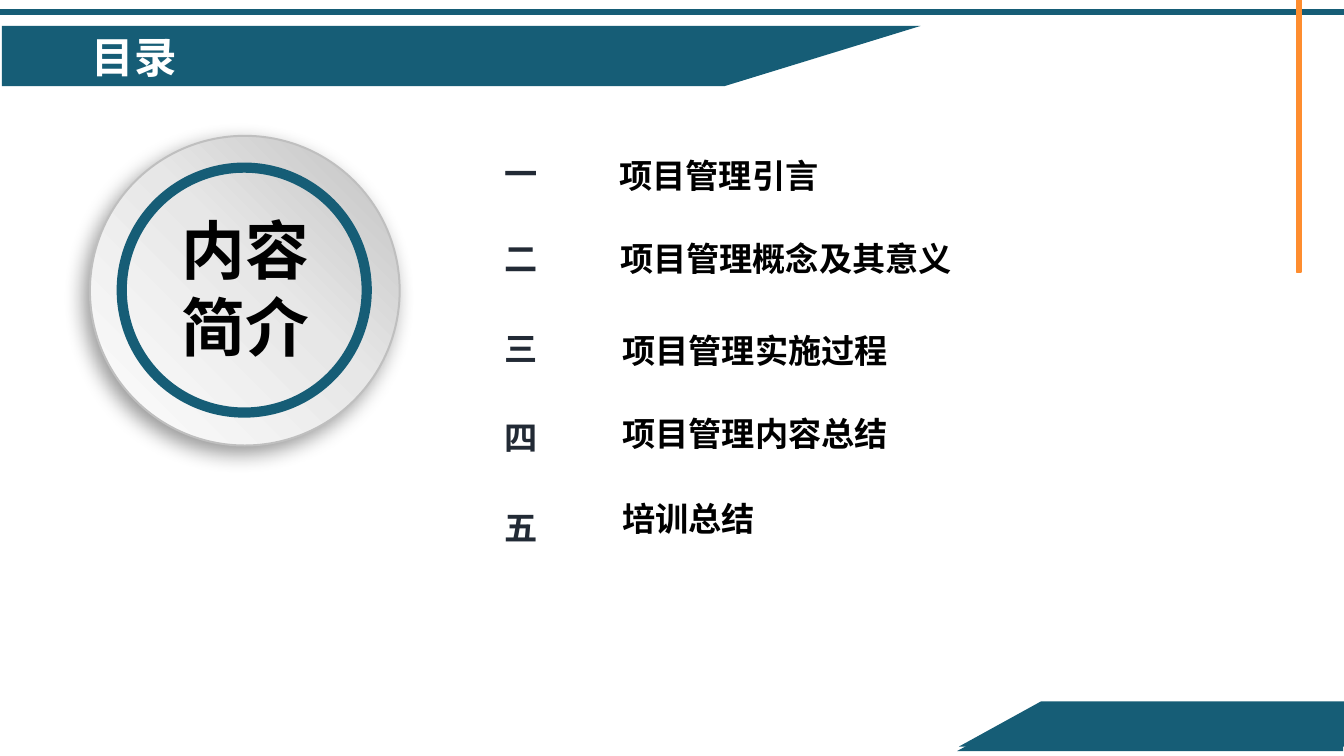
from dataclasses import dataclass

from lxml import etree
from pptx import Presentation
from pptx.dml.color import RGBColor
from pptx.enum.shapes import MSO_SHAPE
from pptx.enum.text import MSO_ANCHOR, MSO_AUTO_SIZE, PP_ALIGN
from pptx.oxml import parse_xml
from pptx.oxml.ns import nsdecls, qn
from pptx.shapes.autoshape import Shape
from pptx.slide import Slide
from pptx.util import Cm, Pt

RECTANGLE, OVAL, DONUT = MSO_SHAPE.RECTANGLE, MSO_SHAPE.OVAL, MSO_SHAPE.DONUT
TOP, MIDDLE, BOTTOM = MSO_ANCHOR.TOP, MSO_ANCHOR.MIDDLE, MSO_ANCHOR.BOTTOM
LEFT, CENTER = PP_ALIGN.LEFT, PP_ALIGN.CENTER
GROW = MSO_AUTO_SIZE.SHAPE_TO_FIT_TEXT

COLORS = {
    "teal": "165D76",
    "orange": "FE8D2F",
    "number": "222A35",
    "black": "000000",
    "white": "FFFFFF",
    "silver": "E7E7E7",
    "gray": "BFBFBF",
}
CHINESE_FONT = "Noto Sans CJK SC"
WIDTH, HEIGHT = 35.71, 20.09


@dataclass(frozen=True)
class Bar:
    left: float
    top: float
    width: float
    height: float
    color: str


@dataclass(frozen=True)
class TextStyle:
    font: str
    size: float
    color: str
    anchor: MSO_ANCHOR = TOP
    align: PP_ALIGN = LEFT
    inset: bool = True


@dataclass(frozen=True)
class Entry:
    number: str
    number_top: float
    topic: str
    left: float
    top: float
    width: float


BARS = [
    Bar(0, 0.25, WIDTH, 0.13, "teal"),
    Bar(34.44, 0, 0.13, 2.16, "orange"),
    Bar(34.44, 1.64, 0.13, 5.59, "orange"),
]
BANDS = [
    [(0.05, 0.69), (24.46, 0.69), (19.25, 2.29), (0.05, 2.29)],
    [(35.69, 19.96), (25.43, 19.96), (27.61, 18.77), (35.69, 18.77)],
    [(WIDTH, 19.84), (25.48, 19.84), (27.66, 18.64), (WIDTH, 18.64)],
]
ENTRIES = [
    Entry("一", 4.04, "项目管理引言", 16.46, 4.11, 13.56),
    Entry("二", 6.3, "项目管理概念及其意义", 16.48, 6.32, 13.56),
    Entry("三", 8.69, "项目管理实施过程", 16.54, 8.76, 9.32),
    Entry("四", 11.05, "项目管理内容总结", 16.54, 10.97, 9.32),
    Entry("五", 13.44, "培训总结", 16.54, 13.23, 9.32),
]
TITLE_STYLE = TextStyle("Calibri", 32, "white")
BADGE_STYLE = TextStyle("Calibri", 48, "black")
NUMBER_STYLE = TextStyle("Arial", 25, "number", BOTTOM, CENTER, False)
TOPIC_STYLE = TextStyle(CHINESE_FONT, 25, "black", MIDDLE, LEFT, False)


def rgb(color: str) -> RGBColor:
    return RGBColor.from_string(COLORS[color])


def paint(shape: Shape, color: str) -> None:
    shape.shadow.inherit = False
    shape.fill.solid()
    shape.fill.fore_color.rgb = rgb(color)
    shape.line.fill.background()


def add_bar(slide: Slide, bar: Bar) -> None:
    shape = slide.shapes.add_shape(
        RECTANGLE, Cm(bar.left), Cm(bar.top), Cm(bar.width), Cm(bar.height)
    )
    paint(shape, bar.color)
    shape.line.color.rgb = rgb(bar.color)
    shape.line.width = Pt(1)


def add_band(slide: Slide, corners: list[tuple[float, float]]) -> None:
    points = [(Cm(x), Cm(y)) for x, y in corners]
    builder = slide.shapes.build_freeform(*points[0])
    builder.add_line_segments(points[1:], close=True)
    paint(builder.convert_to_shape(), "teal")


def write(box: Shape, text: str, style: TextStyle) -> None:
    frame = box.text_frame
    frame.text = text
    frame.word_wrap = True
    frame.auto_size = GROW
    frame.vertical_anchor = style.anchor
    if not style.inset:
        frame.margin_left = frame.margin_right = 0
        frame.margin_top = frame.margin_bottom = 0
    para = frame.paragraphs[0]
    para.alignment = style.align
    para.line_spacing = 1.0
    para.space_before = Pt(0)
    span = para.runs[0]
    span.font.size = Pt(style.size)
    span.font.bold = True
    span.font.color.rgb = rgb(style.color)
    span.font.name = style.font
    east_asian = etree.SubElement(span.font._element, qn("a:ea"))
    east_asian.set("typeface", CHINESE_FONT)


def add_text(slide: Slide, left: float, top: float, width: float, height: float,
             text: str, style: TextStyle) -> None:
    box = slide.shapes.add_textbox(Cm(left), Cm(top), Cm(width), Cm(height))
    write(box, text, style)


def add_badge(slide: Slide) -> None:
    disc = slide.shapes.add_shape(OVAL, Cm(2.39), Cm(3.61), Cm(8.23), Cm(8.23))
    paint(disc, "white")
    disc.line.color.rgb = rgb("gray")
    disc.line.width = Pt(1.5)
    properties = disc._element.spPr
    stops = "".join(
        f'<a:gs pos="{position * 1000}"><a:srgbClr val="{COLORS[color]}"/></a:gs>'
        for position, color in [(0, "white"), (55, "silver"), (100, "gray")]
    )
    gradient = parse_xml(
        f'<a:gradFill {nsdecls("a")} rotWithShape="1"><a:gsLst>{stops}</a:gsLst>'
        '<a:path path="circle"><a:fillToRect t="100000" r="100000"/></a:path>'
        '</a:gradFill>'
    )
    properties.replace(properties.find(qn("a:solidFill")), gradient)
    shadow = parse_xml(
        f'<a:outerShdw {nsdecls("a")} blurRad="{Pt(16)}" dist="{Pt(7)}" '
        f'dir="{135 * 60000}" algn="tr" rotWithShape="0">'
        f'<a:srgbClr val="{COLORS["black"]}"><a:alpha val="40000"/></a:srgbClr>'
        '</a:outerShdw>'
    )
    properties.find(qn("a:effectLst")).append(shadow)
    ring = slide.shapes.add_shape(DONUT, Cm(3.1), Cm(4.32), Cm(6.78), Cm(6.78))
    ring.adjustments[0] = 0.04
    paint(ring, "teal")
    add_text(slide, 4.57, 5.49, 4.57, 4.37, "内容简介", BADGE_STYLE)


def place_title(slide: Slide) -> None:
    title = slide.shapes.title
    title.left, title.top = Cm(2.18), Cm(0.71)
    title.width, title.height = Cm(17.48), Cm(1.63)
    write(title, "目录", TITLE_STYLE)
    slide.shapes._spTree.append(title._element)


def main() -> None:
    deck = Presentation()
    deck.slide_width, deck.slide_height = Cm(WIDTH), Cm(HEIGHT)
    page = deck.slides.add_slide(deck.slide_layouts[5])
    for band in BANDS:
        add_band(page, band)
    for bar in BARS:
        add_bar(page, bar)
    add_badge(page)
    for entry in ENTRIES:
        add_text(page, 13.06, entry.number_top, 1.57, 1.09, entry.number, NUMBER_STYLE)
        add_text(page, entry.left, entry.top, entry.width, 1.07, entry.topic, TOPIC_STYLE)
    place_title(page)
    deck.save("out.pptx")


if __name__ == "__main__":
    main()
